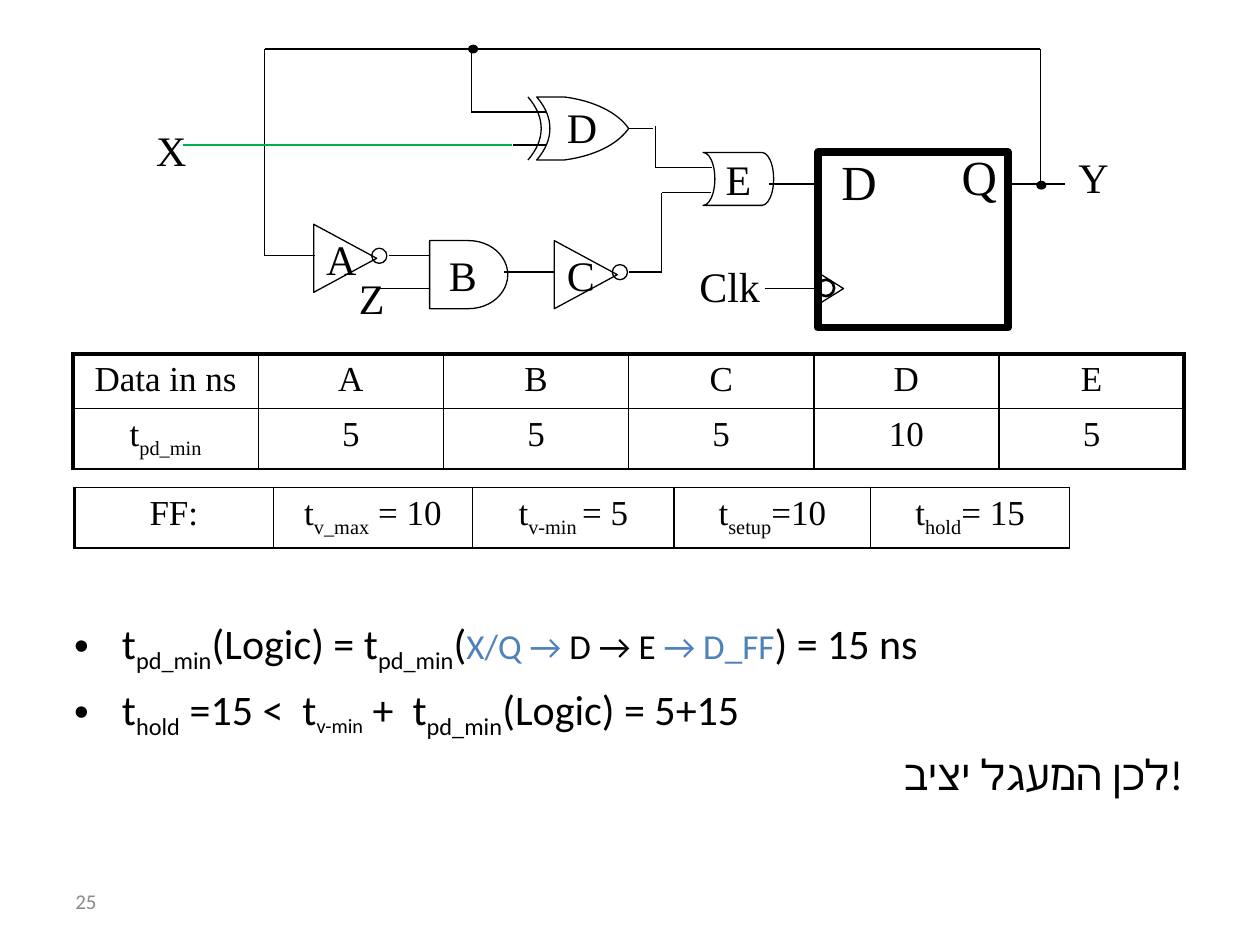
import dataclasses

import lxml.etree
import pptx
import pptx.dml.color
import pptx.enum.shapes
import pptx.enum.text
import pptx.oxml.ns
import pptx.util

Inches = pptx.util.Inches
Pt = pptx.util.Pt
RGB = pptx.dml.color.RGBColor.from_string
qn = pptx.oxml.ns.qn
ALIGN = pptx.enum.text.PP_ALIGN
ANCHOR = pptx.enum.text.MSO_ANCHOR
SHAPE = pptx.enum.shapes.MSO_SHAPE


@dataclasses.dataclass(frozen=True)
class Theme:
    black: str = "000000"
    white: str = "FFFFFF"
    green: str = "00B050"
    blue: str = "4F81BD"
    gray: str = "8C8C8C"
    serif: str = "Times New Roman"
    sans: str = "Calibri"
    pin: int = 28
    body: int = 24
    small: int = 20
    number: int = 12
    thin: float = 0.75


theme = Theme()


def write_runs(paragraph, runs, name, size, alignment=ALIGN.LEFT):
    """Each run is (text, changes); changes may hold sub, size and color."""
    paragraph.alignment = alignment
    for text, changes in runs:
        run = paragraph.add_run()
        run.text = text
        formats = {"name": name, "size": Pt(changes.get("size", size))}
        for key, value in formats.items():
            setattr(run.font, key, value)
        run.font.color.rgb = RGB(changes.get("color", theme.black))
        if changes.get("sub"):
            run.font._element.set("baseline", "-25000")


def style_shape(shape, fill=None, width=theme.thin):
    shape.shadow.inherit = False
    if fill:
        shape.fill.solid()
        shape.fill.fore_color.rgb = RGB(fill)
    else:
        shape.fill.background()
    shape.line.color.rgb = RGB(theme.black)
    shape.line.width = Pt(width)


presentation = pptx.Presentation()
presentation.slide_width, presentation.slide_height = Inches(10), Inches(7.5)
slide = presentation.slides.add_slide(presentation.slide_layouts[6])
shapes = slide.shapes

# Wires: start, end
wires = [
    (2.5, 2.03, 2.1, 2.03), (2.1, 2.03, 2.1, 0.39), (8.25, 0.39, 2.1, 0.39),
    (8.26, 1.47, 8.26, 0.39), (8.45, 1.46, 8, 1.46),            # feedback
    (3.74, 0.89, 3.74, 0.39), (4.12, 0.89, 3.74, 0.89),         # branch to D
    (4.07, 0.89, 4.63, 0.89), (4.07, 1.15, 4.63, 1.15), (5.18, 1.02, 4.63, 1.02),
    (5.2, 1.33, 5.2, 1), (5.65, 1.33, 5.2, 1.33),               # D to E
    (3.09, 2.03, 3.41, 2.03), (3.02, 2.29, 3.41, 2.29),         # inputs of B
    (4, 2.16, 4.4, 2.16), (4.99, 2.16, 5.25, 2.16),             # B to C
    (5.25, 2.16, 5.25, 1.53), (5.64, 1.53, 5.25, 1.53),         # C to E
    (6.1, 1.46, 6.49, 1.46), (6.07, 2.29, 6.46, 2.29),          # flip-flop inputs
    (4.06, 1.15, 1.45, 1.15),                                   # input X
]
for wire in wires:
    connector = shapes.add_connector(
        pptx.enum.shapes.MSO_CONNECTOR.STRAIGHT, *map(Inches, wire))
    connector.line.color.rgb = RGB(theme.green if wire == wires[-1] else theme.black)
    connector.line.width = Pt(theme.thin)
    lxml.etree.SubElement(connector._element.spPr, qn("a:effectLst"))

# XOR gate D: Bezier outlines sampled into short segments
gate_body = [
    [(4.99, 1.02), (4.9, 1.15), (4.71, 1.24), (4.48, 1.27)],
    [(4.26, 1.27), (4.4, 1.11), (4.4, 0.93), (4.26, 0.77)],
    [(4.48, 0.77), (4.71, 0.8), (4.9, 0.89), (4.99, 1.02)],
]
gate_back = [[(4.19, 1.27), (4.33, 1.11), (4.33, 0.93), (4.19, 0.77)]]
steps = 16
for curves, closed in ((gate_body, True), (gate_back, False)):
    points = []
    for curve in curves:
        for step in range(steps + 1):
            t = step / steps
            weights = ((1 - t) ** 3, 3 * t * (1 - t) ** 2, 3 * t * t * (1 - t), t ** 3)
            points.append(tuple(
                Inches(sum(weight * point[axis] for weight, point in zip(weights, curve)))
                for axis in (0, 1)))
    builder = shapes.build_freeform(*points[0])
    builder.add_line_segments(points[1:], close=closed)
    style_shape(builder.convert_to_shape(), theme.white if closed else None)

# Gates and flip-flop: kind, box, rotation, label, body properties, fill, line width
upright = {"vert": "eaVert"}
symbols = [
    (SHAPE.FLOWCHART_DELAY, (3.41, 1.91, 0.62, 0.54), 0, "B", {}, None, theme.thin),
    (SHAPE.FLOWCHART_STORED_DATA, (5.58, 1.21, 0.56, 0.42), 180, "E",
     {"rot": "10800000"}, None, theme.thin),
    (SHAPE.FLOWCHART_MERGE, (4.38, 1.93, 0.54, 0.5), 270, "C", upright, None, theme.thin),
    (SHAPE.FLOWCHART_MERGE, (2.47, 1.8, 0.54, 0.5), 270, "A", upright, None, theme.thin),
    (SHAPE.OVAL, (4.86, 2.1, 0.12, 0.12), 0, "", {}, None, theme.thin),
    (SHAPE.OVAL, (2.95, 1.97, 0.12, 0.12), 0, "", {}, None, theme.thin),
    (SHAPE.RECTANGLE, (6.49, 1.21, 1.51, 1.39), 0, "", {}, None, 4.5),
    (SHAPE.FLOWCHART_MERGE, (6.47, 2.19, 0.25, 0.2), 270, "", {}, None, theme.thin),
    (SHAPE.OVAL, (6.49, 2.22, 0.13, 0.13), 180, "", {}, None, 1.5),
    (SHAPE.OVAL, (8.23, 1.44, 0.07, 0.06), 0, "", {}, theme.black, theme.thin),
    (SHAPE.OVAL, (3.72, 0.36, 0.07, 0.06), 0, "", {}, theme.black, theme.thin),
]
for kind, box, rotation, label, properties, fill, width in symbols:
    shape = shapes.add_shape(kind, *map(Inches, box))
    shape.rotation = rotation
    style_shape(shape, fill, width)
    if label:
        frame = shape.text_frame
        frame.word_wrap = False
        frame.vertical_anchor = ANCHOR.MIDDLE
        for key, value in properties.items():
            frame._txBody.bodyPr.set(key, value)
        write_runs(frame.paragraphs[0], [(label, {})], theme.serif, theme.body, ALIGN.CENTER)

# Signal and pin labels
for label, box, size in [
    ("X", (1.14, 0.94, 0.35, 0.38), theme.body),
    ("Y", (8.46, 1.15, 0.35, 0.38), theme.body),
    ("Z", (2.75, 2.11, 0.32, 0.38), theme.body),
    ("D", (4.4, 0.76, 0.35, 0.38), theme.body),
    ("Clk", (5.31, 2.02, 0.82, 0.5), theme.body),
    ("D", (6.58, 1.15, 0.39, 0.43), theme.pin),
    ("Q", (7.42, 1.11, 0.59, 0.43), theme.pin),
]:
    frame = shapes.add_textbox(*map(Inches, box)).text_frame
    frame.word_wrap = False
    write_runs(frame.paragraphs[0], [(label, {})], theme.serif, size, ALIGN.RIGHT)

# Timing tables: box, column widths, rows of runs, thick outer sides
plain, sub = {}, {"sub": True}
gate_rows = [
    [[(text, plain)] for text in ("Data in ns", "A", "B", "C", "D", "E")],
    [[("t", plain), ("pd_min", sub)]] + [[(text, plain)] for text in ("5", "5", "5", "10", "5")],
]
flip_flop_rows = [[[("FF:", plain)]] + [
    [("t", plain), (name, sub), (value, plain)]
    for name, value in (("v_max", " = 10"), ("v-min ", "= 5"), ("setup", "=10"), ("hold", "= 15"))]]
for box, widths, rows, thick in [
    ((0.58, 2.81, 8.83, 0.87), [1.47] * 6, gate_rows, "LTR"),
    ((0.59, 3.87, 7.89, 0.43), [1.58, 1.58, 1.6, 1.56, 1.58], flip_flop_rows, "L"),
]:
    table = shapes.add_table(len(rows), len(widths), *map(Inches, box)).table
    table.first_row = table.horz_banding = False
    for column, width in zip(table.columns, widths):
        column.width = Inches(width)
    for row_index, row in enumerate(rows):
        table.rows[row_index].height = Inches(0.43)
        for column_index, runs in enumerate(row):
            cell = table.cell(row_index, column_index)
            write_runs(cell.text_frame.paragraphs[0], runs, theme.serif, theme.small, ALIGN.CENTER)
            outer = {"L": column_index == 0, "R": column_index == len(widths) - 1,
                     "T": row_index == 0, "B": False}
            for side, is_outer in outer.items():
                points = 2.25 if is_outer and side in thick else 1
                border = lxml.etree.SubElement(
                    cell._tc.get_or_add_tcPr(), qn("a:ln" + side), w=str(Pt(points)))
                solid = lxml.etree.SubElement(border, qn("a:solidFill"))
                lxml.etree.SubElement(solid, qn("a:srgbClr"), val=theme.black)
            cell.fill.background()

# Hold-time check
small_blue = {"size": theme.small, "color": theme.blue}
conclusions = [
    [("t", plain), ("pd_min", sub), ("(Logic) = t", plain), ("pd_min", sub), ("(", plain),
     ("X/Q →", small_blue), (" D → E ", {"size": theme.small}), ("→ D_FF", small_blue),
     (") = 15 ns", plain)],
    [("t", plain), ("hold", sub), (" =15 <  t", plain), ("v-min", {"sub": True, "size": theme.small}),
     (" +  t", plain), ("pd_min", sub), ("(Logic) = 5+15", plain)],
    [("לכן המעגל יציב!", plain)],
]
frame = shapes.add_textbox(Inches(0.49), Inches(4.85), Inches(9), Inches(2.28)).text_frame
frame.word_wrap = True
for index, runs in enumerate(conclusions):
    paragraph = frame.add_paragraph() if index else frame.paragraphs[0]
    is_bullet = index < 2
    if is_bullet:
        properties = paragraph._p.get_or_add_pPr()
        properties.set("marL", str(Inches(0.38)))
        properties.set("indent", str(-Inches(0.38)))
        lxml.etree.SubElement(properties, qn("a:buFont"), typeface="Arial")
        lxml.etree.SubElement(properties, qn("a:buChar"), char="•")
    if index:
        paragraph.space_before = Pt(4.8)
    write_runs(paragraph, runs, theme.sans, theme.body, ALIGN.LEFT if is_bullet else ALIGN.RIGHT)

# Slide number
frame = shapes.add_textbox(Inches(0.5), Inches(6.95), Inches(2.33), Inches(0.4)).text_frame
frame.word_wrap = True
frame.vertical_anchor = ANCHOR.MIDDLE
write_runs(frame.paragraphs[0], [("25", {"color": theme.gray})], theme.sans, theme.number)

presentation.save("out.pptx")
